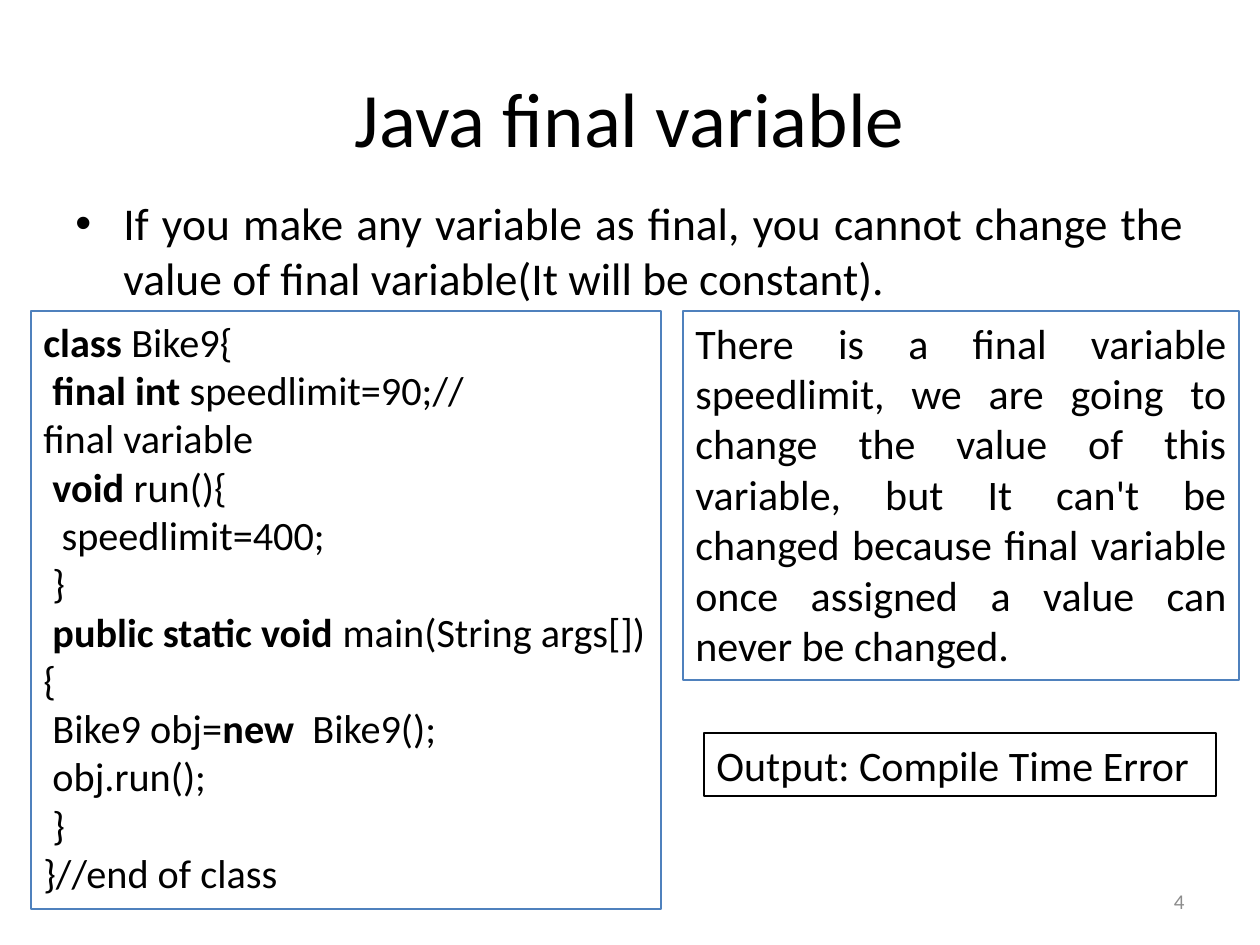
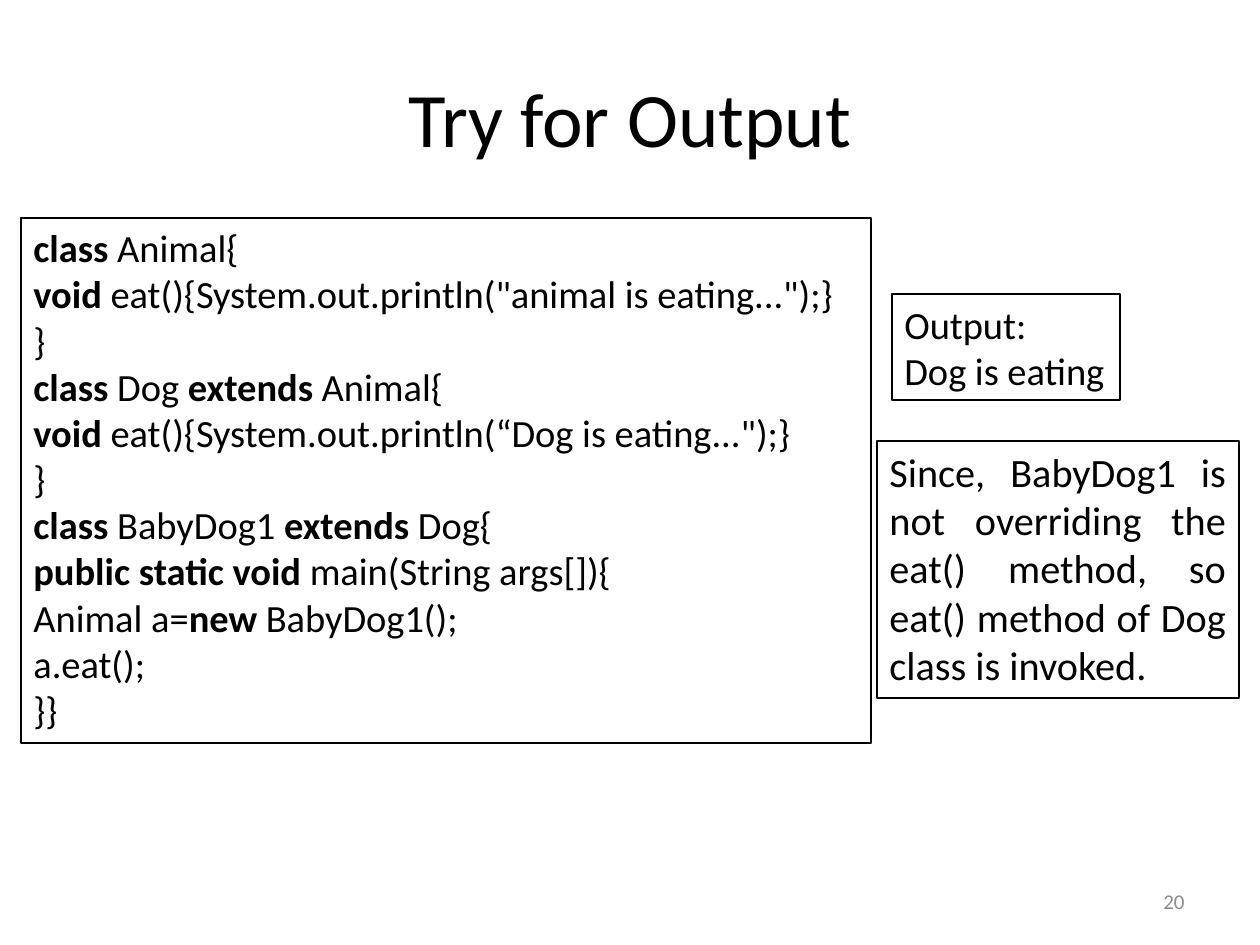
"""Two Java slides: final variables and an overriding exercise."""
from lxml import etree
from pptx import Presentation
from pptx.dml.color import RGBColor
from pptx.enum.shapes import MSO_SHAPE
from pptx.enum.text import MSO_ANCHOR, PP_ALIGN
from pptx.oxml.ns import qn
from pptx.util import Pt

BLACK = RGBColor(0x00, 0x00, 0x00)
GREY = RGBColor(0x8C, 0x8C, 0x8C)
BLUE = RGBColor(0x4F, 0x81, 0xBD)
FONT = "Calibri"
EMU_PER_PX = 914400 / 126
BULLET_INDENT = 48
NBSP = chr(160)

TITLE_AT = (63, 38, 1134, 158)
BODY_AT = (63, 189, 1134, 624)
NUMBER_AT = (903, 876, 294, 50)

FINAL_CODE = """**class** Bike9{
 **final int **speedlimit=90;//final variable
 **void** run(){
  speedlimit=400;
 }
 **public static void** main(String args[]){
 Bike9 obj=**new**  Bike9();
 obj.run();
 }
}//end of class"""

ANIMAL_CODE = """**class** Animal{
**void** eat(){System.out.println("animal is eating...");}
}
**class** Dog **extends** Animal{
**void** eat(){System.out.println(“Dog is eating...");}
}
**class** BabyDog1 **extends** Dog{
**public static void** main(String args[]){
Animal a=**new** BabyDog1();
a.eat();
}}"""

SLIDES = [
    dict(
        title="Java final variable", number="4",
        bullet="If you make any variable as final, you cannot change the value "
               "of final variable(It will be constant).",
        code=dict(text=FINAL_CODE, at=(31, 311, 630, 598), size=23, line=BLUE),
        note=dict(text="There is a final variable speedlimit, we are going to change the "
                       "value of this variable, but It can't be changed because final "
                       "variable once assigned a value can never be changed.",
                  at=(683, 311, 556, 369), size=24, line=BLUE),
        output=dict(text="Output: Compile Time Error", at=(704, 733, 512, 63), size=24),
    ),
    dict(
        title="Try for Output", number="20",
        code=dict(text=ANIMAL_CODE, at=(21, 218, 850, 525), size=22, line=BLACK),
        note=dict(text="Since, BabyDog1 is not overriding the eat() method, so eat() "
                       "method of Dog class is invoked.",
                  at=(877, 441, 362, 257), size=23, line=BLACK),
        output=dict(text="Output:\nDog is eating", at=(892, 294, 228, 106), size=22),
    ),
]


def px(n):
    return round(n * EMU_PER_PX)


def add_bullet(p):
    pPr = p._p.get_or_add_pPr()
    pPr.set("marL", str(px(BULLET_INDENT)))
    pPr.set("indent", str(-px(BULLET_INDENT)))
    etree.SubElement(pPr, qn("a:buFont")).set("typeface", "Arial")
    etree.SubElement(pPr, qn("a:buChar")).set("char", "•")


def add_text(s, text, *, at, size, color=BLACK, line=None, align=PP_ALIGN.LEFT,
             anchor=MSO_ANCHOR.TOP, bullet=False, wrap=True):
    box = [px(n) for n in at]
    if line is None:
        sp = s.shapes.add_textbox(*box)
    else:
        sp = s.shapes.add_shape(MSO_SHAPE.RECTANGLE, *box)
        sp.shadow.inherit = False
        sp.fill.background()
        sp.line.color.rgb = line
        sp.line.width = Pt(0.75)
    tf = sp.text_frame
    tf.word_wrap = wrap
    tf.vertical_anchor = anchor
    for i, row in enumerate(text.split("\n")):
        p = tf.add_paragraph() if i else tf.paragraphs[0]
        p.alignment = align
        if bullet:
            add_bullet(p)
        for j, part in enumerate(row.split("**")):
            if part:
                r = p.add_run()
                r.text = part
                r.font.name = FONT
                r.font.size = Pt(size)
                r.font.bold = j % 2 == 1
                r.font.color.rgb = color


def add_code(s, text, **fmt):
    add_text(s, text.replace(" ", NBSP), **fmt)


def build_slide(prs, content):
    s = prs.slides.add_slide(prs.slide_layouts[6])
    add_text(s, content["title"], at=TITLE_AT, size=44,
             align=PP_ALIGN.CENTER, anchor=MSO_ANCHOR.MIDDLE)
    if "bullet" in content:
        add_text(s, content["bullet"], at=BODY_AT, size=26,
                 align=PP_ALIGN.JUSTIFY, bullet=True)
    add_code(s, **content["code"])
    add_text(s, **content["note"], align=PP_ALIGN.JUSTIFY)
    add_text(s, **content["output"], line=BLACK, anchor=MSO_ANCHOR.MIDDLE, wrap=False)
    add_text(s, content["number"], at=NUMBER_AT, size=12, color=GREY,
             align=PP_ALIGN.RIGHT, anchor=MSO_ANCHOR.MIDDLE)


def main():
    prs = Presentation()
    prs.slide_width, prs.slide_height = px(1260), px(945)
    for content in SLIDES:
        build_slide(prs, content)
    prs.save("out.pptx")


if __name__ == "__main__":
    main()
